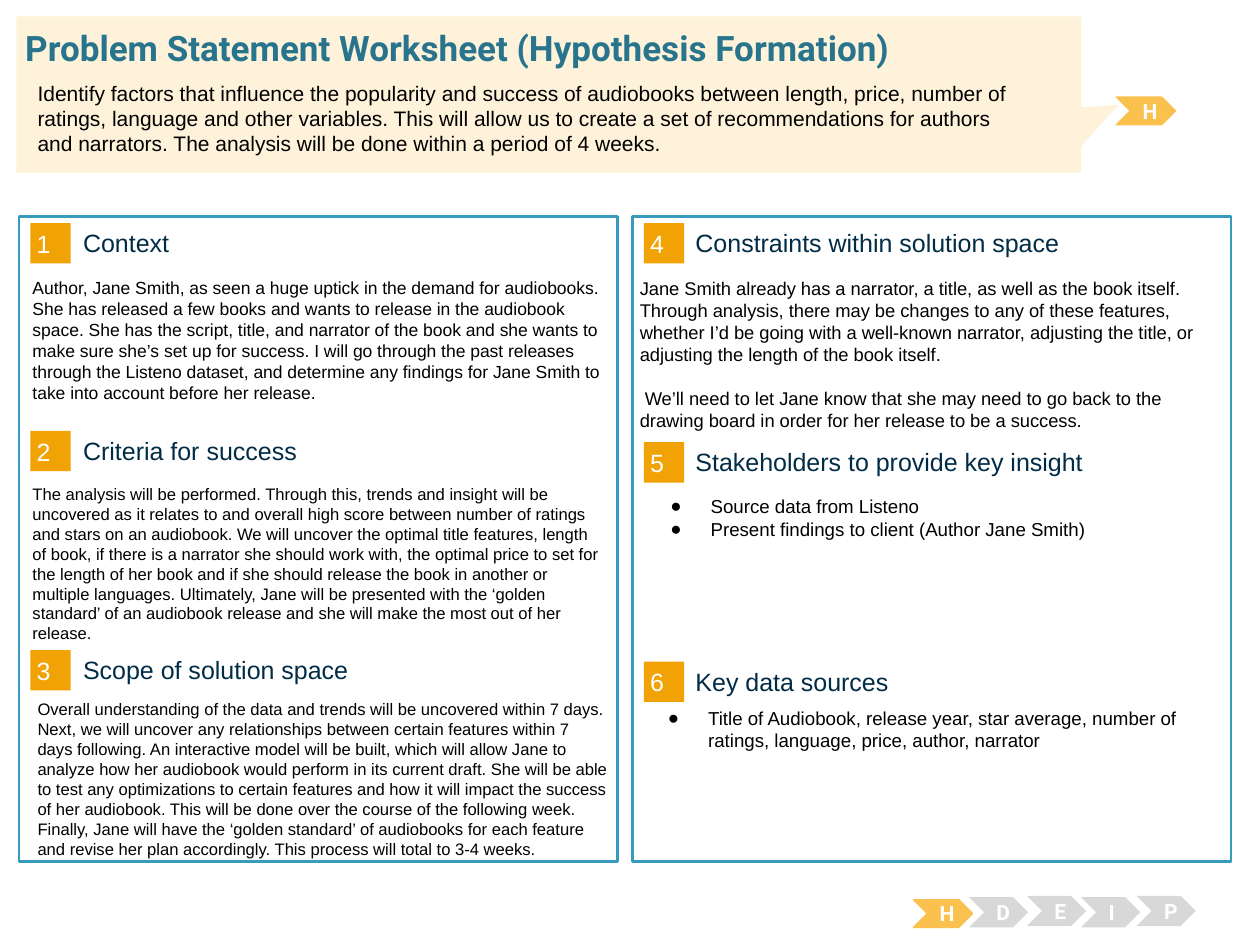
import pptx
import pptx.util
import pptx.dml.color
import pptx.enum.shapes
import pptx.enum.text
import pptx.oxml
import pptx.oxml.ns
from lxml import etree

Inches, Pt = pptx.util.Inches, pptx.util.Pt
SHAPE = pptx.enum.shapes.MSO_SHAPE
ANCHOR = pptx.enum.text.MSO_ANCHOR
ALIGN = pptx.enum.text.PP_ALIGN

COLORS = {"panel": "FFFFFF", "border": "379BBD", "badge": "F1A205", "heading": "002C46",
          "title": "29748D", "callout": "FEF2DA", "active": "FBC14E", "idle": "D8D8D8",
          "white": "FFFFFF", "text": "000000"}

TITLE = "Problem Statement Worksheet (Hypothesis Formation)"
PROBLEM = ("Identify factors that influence the popularity and success of audiobooks between length, "
           "price, number of ratings, language and other variables. This will allow us to create a set "
           "of recommendations for authors and narrators. The analysis will be done within a period "
           "of 4 weeks.")

# Column left edge, heading left edge
COLUMNS = [(0.15, 0.66), (5.02, 5.52)]

# Column, badge top, heading, body box, text size, paragraphs
SECTIONS = [
    (0, 1.77, "Context", (0.16, 2.15, 4.73, 1.36), 10, [
        "Author, Jane Smith, as seen a huge uptick in the demand for audiobooks. She has released a few "
        "books and wants to release in the audiobook space. She has the script, title, and narrator of "
        "the book and she wants to make sure she’s set up for success. I will go through the past "
        "releases through the Listeno dataset, and determine any findings for Jane Smith to take into "
        "account before her release."]),
    (0, 3.42, "Criteria for success", (0.16, 3.79, 4.73, 1.54), 9.5, [
        "The analysis will be performed. Through this, trends and insight will be uncovered as it "
        "relates to and overall high score between number of ratings and stars on an audiobook. We will "
        "uncover the optimal title features, length of book, if there is a narrator she should work "
        "with, the optimal price to set for the length of her book and if she should release the book "
        "in another or multiple languages. Ultimately, Jane will be presented with the ‘golden "
        "standard’ of an audiobook release and she will make the most out of her release."]),
    (0, 5.16, "Scope of solution space", (0.2, 5.5, 4.73, 0.82), 9.5, [
        "Overall understanding of the data and trends will be uncovered within 7 days. Next, we will "
        "uncover any relationships between certain features within 7 days following. An interactive "
        "model will be built, which will allow Jane to analyze how her audiobook would perform in its "
        "current draft. She will be able to test any optimizations to certain features and how it will "
        "impact the success of her audiobook. This will be done over the course of the following week. "
        "Finally, Jane will have the ‘golden standard’ of audiobooks for each feature and "
        "revise her plan accordingly. This process will total to 3-4 weeks."]),
    (1, 1.77, "Constraints within solution space", (4.98, 2.15, 4.73, 1.18), 10.5, [
        "Jane Smith already has a narrator, a title, as well as the book itself. Through analysis, "
        "there may be changes to any of these features, whether I’d be going with a well-known "
        "narrator, adjusting the title, or adjusting the length of the book itself.",
        "We’ll need to let Jane know that she may need to go back to the drawing board in order "
        "for her release to be a success."]),
    (1, 3.51, "Stakeholders to provide key insight", (5.04, 3.88, 4.73, 1.18), 10.7, [
        "Source data from Listeno", "Present findings to client (Author Jane Smith)"]),
    (1, 5.25, "Key data sources", (5.02, 5.56, 4.73, 1.18), 10.7, [
        "Title of Audiobook, release year, star average, number of ratings, language, price, author, "
        "narrator"]),
]
LIST_SECTIONS = {5: 1, 6: 2}  # section number: body placeholder index

# Letter, left, top, height, colour
STAGES = [("H", 7.25, 7.14, 0.22, "active"), ("D", 7.69, 7.12, 0.24, "idle"),
          ("E", 8.15, 7.11, 0.24, "idle"), ("I", 8.58, 7.12, 0.24, "idle"),
          ("P", 9.02, 7.11, 0.24, "idle"), ("H", 8.86, 0.77, 0.22, "active")]


def rgb(name):
    """Look up a colour by its role."""
    return pptx.dml.color.RGBColor.from_string(COLORS[name])


def write(sp, paragraphs, size, color, font="Arial", bold=False, anchor=ANCHOR.TOP,
          align=ALIGN.LEFT, insets=(0.1, 0.05)):
    """Fill a shape with formatted paragraphs."""
    tf = sp.text_frame
    tf.text = "\n".join(paragraphs)
    tf.word_wrap = True
    tf.auto_size = pptx.enum.text.MSO_AUTO_SIZE.NONE
    tf.vertical_anchor = anchor
    tf.margin_left = tf.margin_right = Inches(insets[0])
    tf.margin_top = tf.margin_bottom = Inches(insets[1])
    for p in tf.paragraphs:
        p.alignment = align
        p.space_before = Pt(0)
        for r in p.runs:
            r.font.size, r.font.name, r.font.bold = Pt(size), font, bold
            r.font.color.rgb = rgb(color)
    return tf


def add_shape(kind, box, fill, line=None, width=0.75):
    """Add a flat preset shape."""
    sp = slide.shapes.add_shape(kind, *map(Inches, box))
    sp.shadow.inherit = False
    sp.fill.solid()
    sp.fill.fore_color.rgb = rgb(fill)
    if line:
        sp.line.color.rgb = rgb(line)
        sp.line.width = Pt(width)
    else:
        sp.line.fill.background()
    return sp


def add_text(box, paragraphs, size, color, **style):
    """Add a wrapped text box."""
    return write(slide.shapes.add_textbox(*map(Inches, box)), paragraphs, size, color, **style)


def place(idx, box):
    """Move a placeholder to its box and to the front."""
    sp = slide.placeholders[idx]
    sp.left, sp.top, sp.width, sp.height = map(Inches, box)
    slide.shapes.element.append(sp.element)
    return sp


def add_bullets(tf):
    """Give every paragraph a hanging round bullet."""
    for p in tf.paragraphs:
        pPr = p.runs[0].font and p._p.get_or_add_pPr()
        pPr.set("marL", str(Inches(0.5)))
        pPr.set("indent", str(Inches(-0.32)))
        color = etree.SubElement(pPr, pptx.oxml.ns.qn("a:buClr"))
        etree.SubElement(color, pptx.oxml.ns.qn("a:srgbClr"), val=COLORS["text"])
        etree.SubElement(pPr, pptx.oxml.ns.qn("a:buFont"), typeface="Arial")
        etree.SubElement(pPr, pptx.oxml.ns.qn("a:buChar"), char="●")


prs = pptx.Presentation()
prs.slide_width, prs.slide_height = Inches(10), Inches(7.5)
slide = prs.slides.add_slide(prs.slide_layouts[3])

for left, _ in COLUMNS:
    add_shape(SHAPE.RECTANGLE, (left, 1.72, 4.75, 5.12), "panel", "border", 1.5)

for number, (col, top, heading, box, size, paragraphs) in enumerate(SECTIONS, 1):
    left, heading_left = COLUMNS[col]
    badge = add_shape(SHAPE.RECTANGLE, (left + 0.09, top, 0.32, 0.32), "badge")
    write(badge, [str(number)], 14.3, "white", anchor=ANCHOR.MIDDLE, insets=(0.05, 0.05))
    add_text((heading_left, top + 0.03, 3.93, 0.25), [heading], 14.3, "heading",
             anchor=ANCHOR.MIDDLE, insets=(0, 0))
    if number in LIST_SECTIONS:
        add_bullets(write(place(LIST_SECTIONS[number], box), paragraphs, size, "text"))
    else:
        tf = add_text(box, paragraphs, size, "text")
        for p in tf.paragraphs[1:]:
            p.space_before = Pt(12.5)
            p._p.get_or_add_pPr().set("indent", str(Inches(0.04)))

for letter, left, top, height, color in STAGES:
    chevron = add_shape(SHAPE.CHEVRON, (left, top, 0.47, height), color,
                        color if color == "active" else None)
    write(chevron, [letter], 12, "white", font="Roboto", bold=True,
          anchor=ANCHOR.MIDDLE, align=ALIGN.CENTER)

callout = add_shape(SHAPE.RECTANGULAR_CALLOUT, (0.13, 0.13, 8.45, 1.24), "callout")
callout.adjustments[0], callout.adjustments[1] = 0.535, 0.066
write(place(0, (0.2, 0.21, 9.62, 0.34)), [TITLE], 20, "title", font="Roboto", bold=True,
      anchor=ANCHOR.MIDDLE, insets=(0, 0))
add_text((0.2, 0.59, 7.96, 0.54), [PROBLEM], 12, "text")

prs.save("out.pptx")
